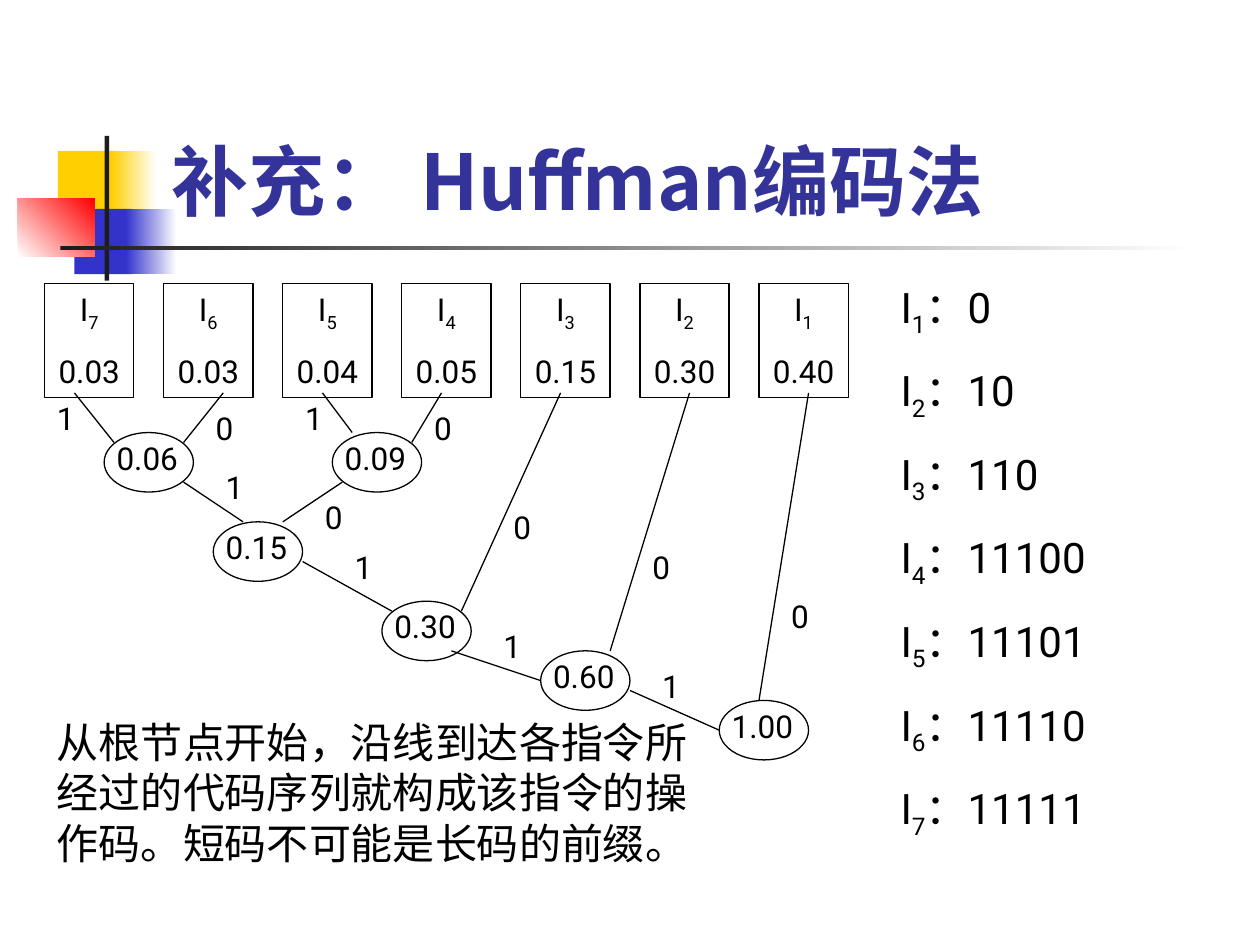
from lxml.etree import SubElement
from pptx import Presentation
from pptx.dml.color import RGBColor
from pptx.enum.shapes import MSO_CONNECTOR, MSO_SHAPE
from pptx.enum.text import MSO_ANCHOR, MSO_AUTO_SIZE, PP_ALIGN
from pptx.oxml.ns import qn
from pptx.util import Cm, Pt

BLACK = "000000"
LATIN, CJK = "Roboto", "Noto Sans CJK SC"

# Instruction number, probability and code
INSTRUCTIONS = [
    (1, "0.40", "0"), (2, "0.30", "10"), (3, "0.15", "110"), (4, "0.05", "11100"),
    (5, "0.04", "11101"), (6, "0.03", "11110"), (7, "0.03", "11111"),
]
# Sum and top left corner, in cm from the corner of the tree
SUMS = [
    ("0.06", 1.2, 3), ("0.09", 5.8, 3), ("0.15", 3.4, 4.8),
    ("0.30", 6.8, 6.4), ("0.60", 10, 7.4), ("1.00", 13.6, 8.4),
]
# Bit, start, end and corner of the bit
BRANCHES = [
    ("1", (0.6, 2.2), (1.4, 3.2), (0, 2.2)),
    ("0", (3.6, 2.2), (2.8, 3.2), (3.2, 2.4)),
    ("1", (5.6, 2.2), (6.2, 3), (5, 2.2)),
    ("0", (8, 2.2), (7.4, 3.2), (7.6, 2.4)),
    ("1", (2.8, 4), (4, 4.8), (3.4, 3.6)),
    ("0", (6, 4), (4.8, 4.8), (5.4, 4.2)),
    ("1", (5.2, 5.6), (7, 6.6), (6, 5.2)),
    ("0", (10.4, 2.2), (8.4, 6.6), (9.2, 4.4)),
    ("1", (8.2, 7.4), (10, 8), (9, 6.8)),
    ("0", (13, 2.2), (11.4, 7.4), (12, 5.2)),
    ("1", (11.8, 8.2), (13.6, 9), (12.2, 7.6)),
    ("0", (15.4, 2.2), (14.4, 8.4), (14.8, 6.2)),
]
# Colour at the left and right, direction, and box in cm
ORNAMENTS = [
    ("FFCF01", "FFCF01", 0, (0.81, 0.3, 1.22, 1.32)),
    ("FFCF01", "FFFFFF", 0, (1.88, 0.3, 0.91, 1.32)),
    ("3333CC", "3333CC", 0, (1.14, 1.47, 1.17, 1.32)),
    ("3333CC", "FFFFFF", 0, (2.18, 1.47, 1.02, 1.32)),
    ("FFFFFF", "FF0000", 45, (0, 1.27, 1.55, 1.17)),
    ("1C1C1C", "1C1C1C", 0, (1.75, 0, 0.09, 2.92)),
    ("1C1C1C", "FFFFFF", 0, (0.86, 2.21, 22.86, 0.09)),
]


def colour(hex_string):
    return RGBColor.from_string(hex_string)


def lengths(*values):
    return [Cm(value) for value in values]


def format_run(run, size, face=LATIN, hex_string=BLACK, bold=False):
    run.font.size = Pt(size)
    run.font.bold = bold
    run.font.color.rgb = colour(hex_string)
    run.font.name = face
    SubElement(run.font._element, qn("a:ea"), typeface=face)


def write(shape, paragraphs, size, gap=0, align=PP_ALIGN.LEFT):
    """Fill a shape; each paragraph is a list of (text, is_subscript)."""
    frame = shape.text_frame
    frame.word_wrap = True
    frame.auto_size = MSO_AUTO_SIZE.SHAPE_TO_FIT_TEXT
    frame.vertical_anchor = MSO_ANCHOR.TOP
    for index, parts in enumerate(paragraphs):
        paragraph = frame.add_paragraph() if index else frame.paragraphs[0]
        paragraph.alignment = align
        paragraph.space_before = Pt(gap if index else 0)
        for text, is_subscript in parts:
            run = paragraph.add_run()
            run.text = text
            format_run(run, size)
            if is_subscript:
                run.font._element.set("baseline", "-25000")


def add_text(slide, text, size, *box):
    write(slide.shapes.add_textbox(*lengths(*box)), [[(text, False)]], size)


def add_outline(slide, preset, *box):
    shape = slide.shapes.add_shape(preset, *lengths(*box))
    shape.shadow.inherit = False
    shape.fill.background()
    shape.line.color.rgb = colour(BLACK)
    shape.line.width = Pt(0.75)
    return shape


def add_branch(slide, *ends):
    branch = slide.shapes.add_connector(MSO_CONNECTOR.STRAIGHT, *lengths(*ends))
    branch.line.color.rgb = colour(BLACK)
    branch.line.width = Pt(0.75)
    SubElement(branch._element.spPr, qn("a:effectLst"))


def add_ornament(slide, left, top):
    for start, end, angle, (x, y, width, height) in ORNAMENTS:
        block = slide.shapes.add_shape(
            MSO_SHAPE.RECTANGLE, *lengths(left + x, top + y, width, height))
        block.shadow.inherit = False
        block.line.fill.background()
        if start == end:
            block.fill.solid()
            block.fill.fore_color.rgb = colour(start)
            continue
        block.fill.gradient()
        block.fill.gradient_angle = angle
        for stop, hex_string in zip(block.fill.gradient_stops, (start, end)):
            stop.color.rgb = colour(hex_string)


def place(placeholder, *box):
    (placeholder.left, placeholder.top,
     placeholder.width, placeholder.height) = lengths(*box)


def fill_title(title, *box):
    place(title, *box)
    frame = title.text_frame
    frame.text = "补充： Huffman编码法"
    frame.auto_size = MSO_AUTO_SIZE.NONE
    frame.vertical_anchor = MSO_ANCHOR.BOTTOM
    frame.paragraphs[0].alignment = PP_ALIGN.LEFT
    format_run(frame.paragraphs[0].runs[0], 44, CJK, "333399", True)


def fill_codes(body, *box):
    place(body, *box)
    write(body, [[("I", False), (str(number), True), (f"：{code}", False)]
                 for number, _, code in INSTRUCTIONS], 24, 15)
    for paragraph in body.text_frame.paragraphs:
        properties = paragraph._p.get_or_add_pPr()
        properties.set("marL", "0")
        properties.set("indent", "0")
        SubElement(properties, qn("a:buNone"))


def add_tree(slide, left, top):
    for column, (number, probability, _) in enumerate(reversed(INSTRUCTIONS)):
        leaf = add_outline(slide, MSO_SHAPE.RECTANGLE,
                           left + 2.4 * column, top, 1.8, 2.29)
        write(leaf, [[("I", False), (str(number), True)], [(probability, False)]],
              18, 11.2, PP_ALIGN.CENTER)
    for total, x, y in SUMS:
        add_outline(slide, MSO_SHAPE.OVAL, left + x, top + y, 1.8, 1.2)
        add_text(slide, total, 18, left + x, top + y, 2, 1.02)
    for bit, (x1, y1), (x2, y2), (x, y) in BRANCHES:
        add_branch(slide, left + x1, top + y1, left + x2, top + y2)
        add_text(slide, bit, 18, left + x, top + y, 1, 1.02)


def main():
    presentation = Presentation()
    presentation.slide_width, presentation.slide_height = lengths(25.4, 19.05)
    slide = presentation.slides.add_slide(presentation.slide_layouts[1])
    add_ornament(slide, 0.36, 2.74)
    fill_title(slide.shapes.title, 3.2, 2.6, 17.83, 2.08)
    add_tree(slide, 0.9, 5.72)
    add_text(slide, "从根节点开始，沿线到达各指令所经过的代码序列就构成该指令的操作码。"
             "短码不可能是长码的前缀。", 24, 0.9, 14.32, 13.4, 3.3)
    fill_codes(slide.placeholders[1], 17.9, 5.54, 5, 11.53)
    presentation.save("out.pptx")


if __name__ == "__main__":
    main()
